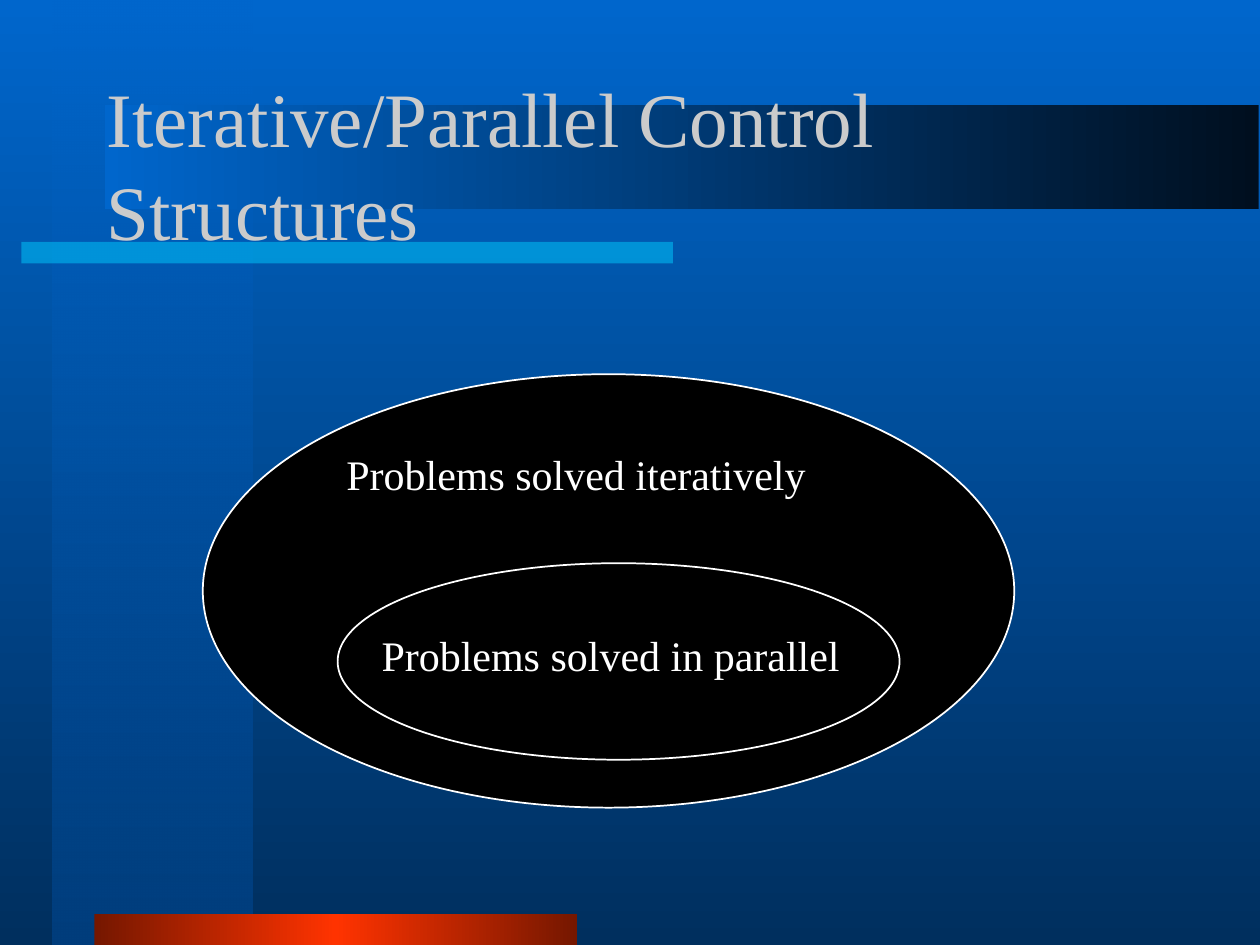
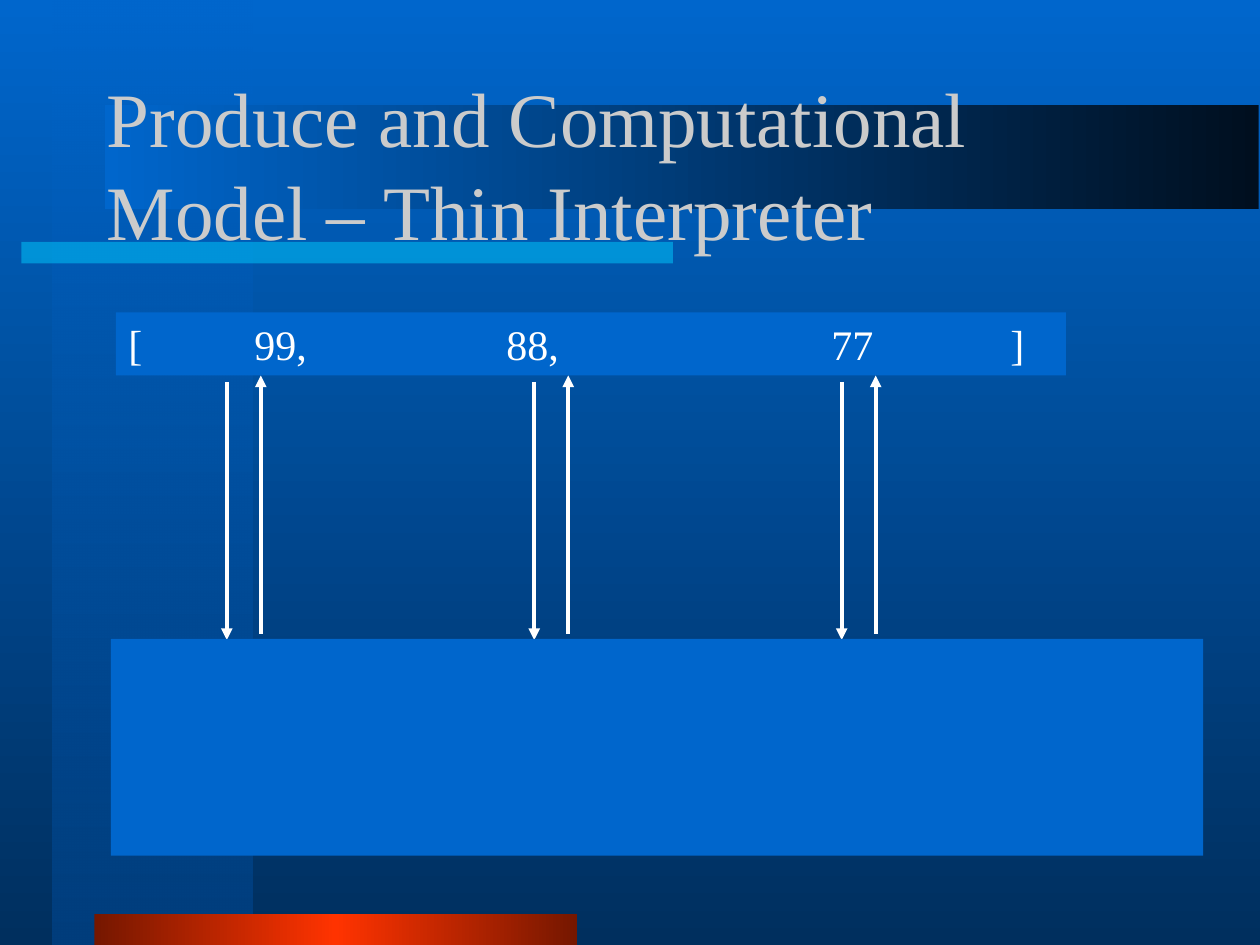
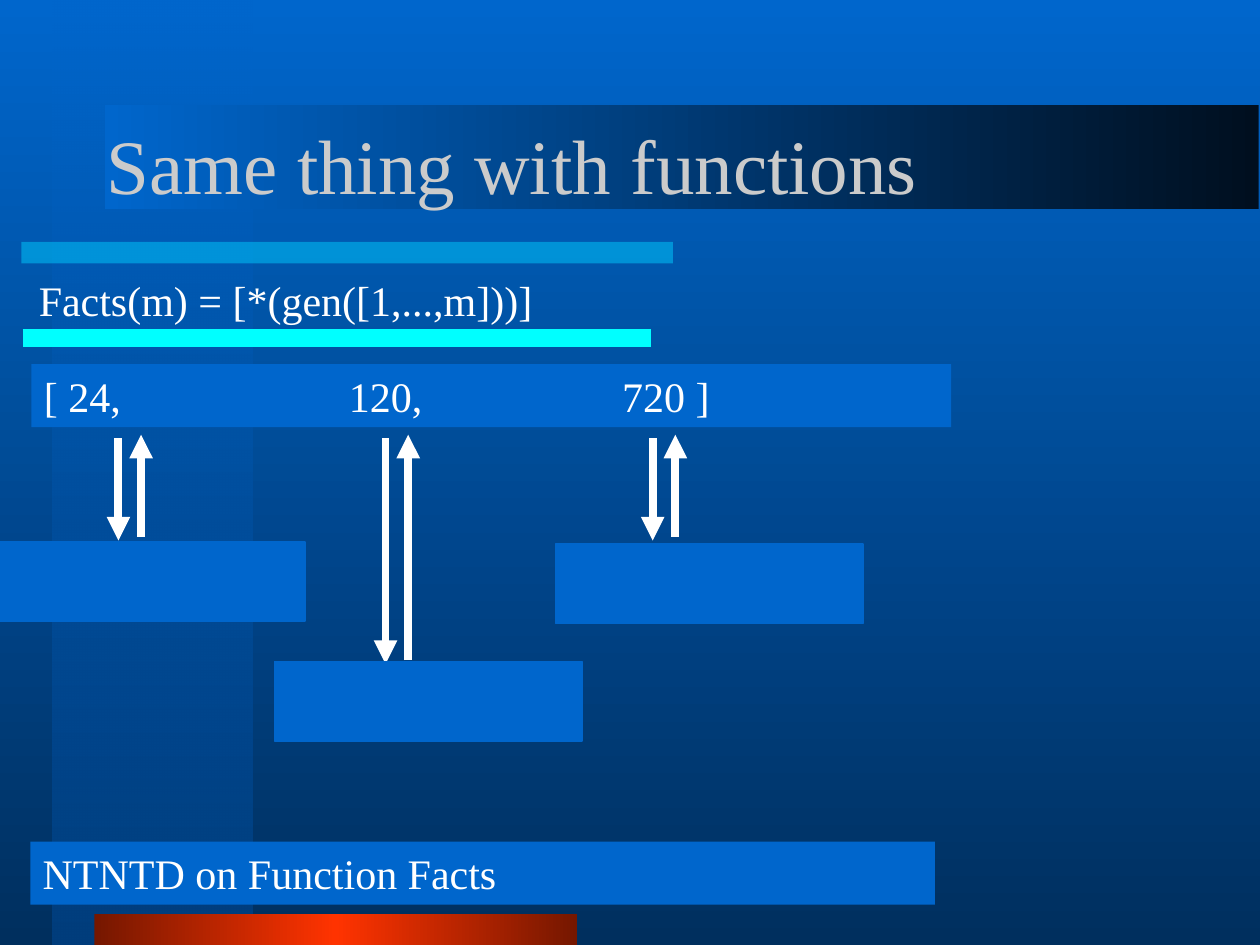
from dataclasses import dataclass

from lxml.etree import SubElement
from pptx import Presentation
from pptx.dml.color import RGBColor
from pptx.enum.shapes import MSO_CONNECTOR as CONNECTOR, MSO_SHAPE as SHAPE
from pptx.enum.text import MSO_ANCHOR as ANCHOR, PP_ALIGN as ALIGN
from pptx.oxml.ns import qn
from pptx.util import Inches, Pt

FONT = "Times New Roman"
COLORS = {
    "blue": "0066CC",
    "deep": "002F5E",
    "column_end": "003E7D",
    "night": "000F1F",
    "underline": "00CCFF",
    "cyan": "00FFFF",
    "ember": "751700",
    "red": "FF3300",
    "title": "CBCBCB",
    "white": "FFFFFF",
    "black": "000000",
}


@dataclass
class Box:
    left: float
    top: float
    width: float
    height: float

    def inner(self, dx, dy, width, height):
        """Box at an offset from this one's top left corner."""
        return Box(self.left + dx, self.top + dy, width, height)

    def lengths(self):
        return [Inches(v) for v in (self.left, self.top, self.width, self.height)]


PAGE = Box(0, 0, 10, 7.5)


def rgb(color):
    return RGBColor.from_string(COLORS[color])


def set_alpha(color_element, percent):
    SubElement(color_element, qn("a:alpha")).set("val", str(percent * 1000))


def set_gradient(fill, clockwise, *stops):
    """Each stop is (position in percent, colour, opacity in percent)."""
    fill.gradient()
    fill.gradient_angle = 360 - clockwise
    stop_list = fill.gradient_stops[0]._gs.getparent()
    for default_stop in list(stop_list):
        stop_list.remove(default_stop)
    for position, color, opacity in stops:
        stop = SubElement(stop_list, qn("a:gs"))
        stop.set("pos", str(position * 1000))
        tint = SubElement(stop, qn("a:srgbClr"))
        tint.set("val", COLORS[color])
        if opacity < 100:
            set_alpha(tint, opacity)


def add_figure(slide, box, color=None, outline=None, kind=SHAPE.RECTANGLE):
    figure = slide.shapes.add_shape(kind, *box.lengths())
    figure.shadow.inherit = False
    if color:
        figure.fill.solid()
        figure.fill.fore_color.rgb = rgb(color)
    if outline:
        figure.line.color.rgb = rgb(outline)
        figure.line.width = Pt(1)
    else:
        figure.line.fill.background()
    return figure


def write(holder, text, size=24, color="white", anchor=ANCHOR.TOP, wrap=True, tabs=()):
    frame = holder.text_frame
    frame.word_wrap = wrap
    frame.vertical_anchor = anchor
    paragraph = frame.paragraphs[0]
    paragraph.alignment = ALIGN.LEFT
    if tabs:
        tab_list = SubElement(paragraph._p.get_or_add_pPr(), qn("a:tabLst"))
        for position in tabs:
            tab = SubElement(tab_list, qn("a:tab"))
            tab.set("pos", str(Inches(position)))
            tab.set("algn", "l")
    run = paragraph.add_run()
    run.text = text
    run.font.name = FONT
    run.font.size = Pt(size)
    run.font.color.rgb = rgb(color)


def add_line(slide, start, end, weight, color="white", arrow=True):
    line = slide.shapes.add_connector(
        CONNECTOR.STRAIGHT, *[Inches(v) for v in (*start, *end)])
    line.line.color.rgb = rgb(color)
    line.line.width = Pt(weight)
    if arrow:
        SubElement(line.line._get_or_add_ln(), qn("a:tailEnd")).set("type", "triangle")
    SubElement(line._element.spPr, qn("a:effectLst"))


def add_call_and_return(slide, box, lag, weight):
    """Arrow down on the left edge, arrow up on the right, shifted by the lag."""
    right, bottom = box.left + box.width, box.top + box.height
    add_line(slide, (box.left, box.top + lag), (box.left, bottom), weight)
    add_line(slide, (right, bottom - lag), (right, box.top), weight)


def add_bands(slide, box):
    column = add_figure(slide, box.inner(0.42, 0, 1.58, box.height))
    set_gradient(column.fill, 90, (0, "blue", 50), (100, "column_end", 100))
    underline = add_figure(slide, box.inner(0.17, 1.92, 5.17, 0.17), "underline")
    set_alpha(underline._element.spPr.find(qn("a:solidFill"))[0], 50)
    footer = add_figure(slide, box.inner(0.75, box.height - 0.25, 3.83, 0.25))
    set_gradient(footer.fill, 180, (0, "ember", 100), (50, "red", 100), (100, "ember", 100))
    title_band = add_figure(slide, box.inner(0.83, 0.83, 9.16, 0.83))
    set_gradient(title_band.fill, 180, (0, "night", 100), (100, "blue", 100))


def add_titled_slide(deck, title):
    slide = deck.slides.add_slide(deck.slide_layouts[6])
    set_gradient(slide.background.fill, 90, (0, "blue", 100), (100, "deep", 100))
    add_bands(slide, PAGE)
    heading = slide.shapes.add_textbox(*PAGE.inner(0.75, 0.67, 8.5, 1.25).lengths())
    write(heading, title, 44, "title", ANCHOR.MIDDLE)
    return slide


def add_problem_sets(slide, box):
    parallel = box.inner(1.07, 1.5, 4.46, 1.56)
    for problem_set in (box, parallel):
        add_figure(slide, problem_set, "black", "white", SHAPE.OVAL)
    write(add_figure(slide, parallel.inner(0.25, 0.48, 4.03, 0.5), "black"),
          "Problems solved in parallel")
    write(add_figure(slide, box.inner(1.04, 0.54, 3.85, 0.9), "black"),
          "Problems solved iteratively", wrap=False)


def add_thin_interpreter(slide, box):
    for index in range(3):
        pair = box.inner(0.92 + 2.44 * index, 0.5, 0.27, 2.1)
        add_call_and_return(slide, pair, lag=0.05, weight=2.25)
    add_figure(slide, box.inner(0, 2.59, box.width, 1.72), "blue")
    values = add_figure(slide, box.inner(0.04, 0, 7.54, 0.5), "blue")
    write(values, "\t".join(["[", "99,", "88,", "77", "]"]), tabs=(1, 3, 5.58, 7))


def add_function_calls(slide, box):
    definition = slide.shapes.add_textbox(*box.inner(0, 0, 7.03, 0.5).lengths())
    write(definition, "Facts(m) = [*(gen([1,...,m]))]")
    rule = box.top + 0.55
    add_line(slide, (box.left - 0.03, rule), (box.left + 4.96, rule), 10.25, "cyan", arrow=False)
    write(add_figure(slide, box.inner(0.03, 4.55, 7.18, 0.5), "blue"), "NTNTD on Function Facts")
    for index, depth in enumerate((0.84, 1.82, 0.84)):
        pair = box.inner(0.73 + 2.12 * index, 1.32, 0.18, depth)
        add_call_and_return(slide, pair, lag=0.03, weight=4.5)
    values = add_figure(slide, box.inner(0.04, 0.76, 7.3, 0.5), "blue")
    write(values, "\t".join(["[ 24,", "120,", "720 ]"]), tabs=(2.42, 4.59))
    for dx, dy in ((-0.23, 2.17), (1.97, 3.12), (4.2, 2.19)):
        add_figure(slide, box.inner(dx, dy, 2.44, 0.63), "blue", "blue")


def main():
    deck = Presentation()
    deck.slide_width, deck.slide_height = Inches(PAGE.width), Inches(PAGE.height)
    add_problem_sets(add_titled_slide(deck, "Iterative/Parallel Control Structures"),
                     Box(1.61, 2.97, 6.44, 3.44))
    add_thin_interpreter(
        add_titled_slide(deck, "Produce and Computational Model – Thin Interpreter"),
        Box(0.88, 2.48, 8.67, 4.31))
    add_function_calls(add_titled_slide(deck, "Same thing with functions"),
                       Box(0.21, 2.13, 7.34, 5.05))
    deck.save("out.pptx")


if __name__ == "__main__":
    main()
